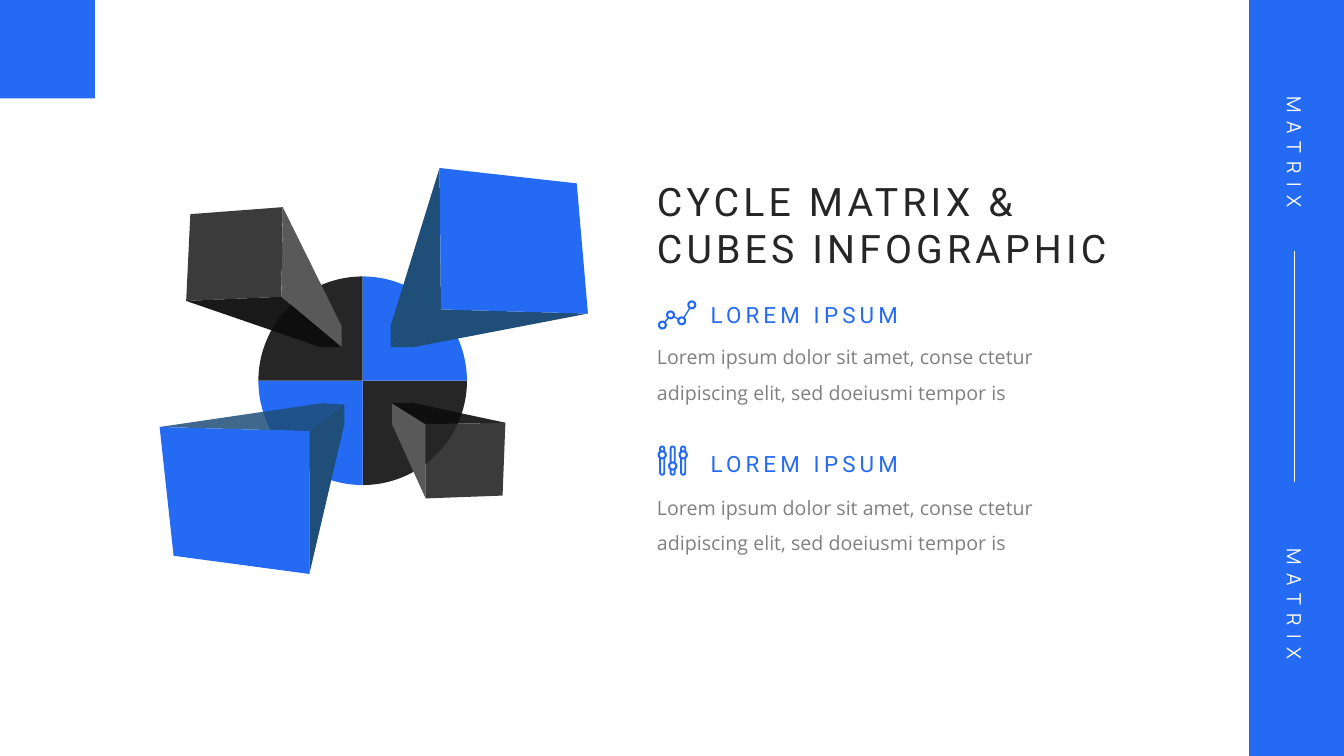
from lxml import etree
from pptx import Presentation
from pptx import util as u
from pptx.dml.color import RGBColor
from pptx.enum import shapes, text
from pptx.oxml.ns import qn

COLORS = {
    "blue": "256AF3", "navy": "1F4E79", "dark": "262626", "black": "0D0D0D",
    "gray": "595959", "body": "808080", "white": "FFFFFF",
}
BODY_TEXT = "Lorem ipsum dolor sit amet, conse ctetur adipiscing elit, sed doeiusmi tempor is"


class SlideBuilder:
    def __init__(self, slide):
        self.shapes = slide.shapes

    def color(self, name):
        return RGBColor.from_string(COLORS[name])

    def paint(self, shape, fill, opacity=1, line=None, line_width=1):
        shape.shadow.inherit = False
        shape.fill.solid()
        shape.fill.fore_color.rgb = self.color(fill)
        if opacity < 1:
            color_element = shape.fill._xPr.find(qn("a:solidFill"))[0]
            alpha = etree.SubElement(color_element, qn("a:alpha"))
            alpha.set("val", str(round(opacity * 100000)))
        if line:
            shape.line.color.rgb = self.color(line)
            shape.line.width = u.Pt(line_width)
        else:
            shape.line.fill.background()
        return shape

    def preset(self, kind, left, top, width, height, fill, **style):
        box = [u.Pt(length) for length in (left, top, width, height)]
        return self.paint(self.shapes.add_shape(kind, *box), fill, **style)

    def polygon(self, points, fill, opacity=1):
        builder = self.shapes.build_freeform(*points[0], scale=u.Pt(1))
        builder.add_line_segments(points[1:], close=True)
        return self.paint(builder.convert_to_shape(), fill, opacity)

    def line(self, start, end, color, width):
        points = [u.Pt(value) for value in (*start, *end)]
        connector = self.shapes.add_connector(shapes.MSO_CONNECTOR.STRAIGHT, *points)
        connector.line.color.rgb = self.color(color)
        connector.line.width = u.Pt(width)
        etree.SubElement(connector._element.spPr, qn("a:effectLst"))

    def text(self, words, left, top, width, height, font, size, color, tracking=0,
             align=text.PP_ALIGN.LEFT, wrap=True, line_spacing=None, rotation=0):
        box = self.shapes.add_textbox(*[u.Pt(length) for length in (left, top, width, height)])
        box.rotation = rotation
        frame = box.text_frame
        frame.text = words
        frame.word_wrap = wrap
        frame.auto_size = text.MSO_AUTO_SIZE.SHAPE_TO_FIT_TEXT
        paragraph = frame.paragraphs[0]
        paragraph.alignment = align
        if line_spacing:
            paragraph.line_spacing = line_spacing
        run = paragraph.runs[0]
        run.font.name = font
        run.font.size = u.Pt(size)
        run.font.color.rgb = self.color(color)
        if tracking:
            run._r.get_or_add_rPr().set("spc", str(tracking * 100))

    def quadrant(self, center, radius, start_angle, fill):
        """Quarter of the disc, clockwise from start_angle in degrees."""
        left, top = (value - radius for value in center)
        pie = self.preset(shapes.MSO_SHAPE.PIE, left, top, 2 * radius, 2 * radius, fill)
        for index, angle in enumerate((start_angle, (start_angle + 90) % 360)):
            pie.adjustments[index] = angle * 0.6  # 60000 units a degree, scaled by 100000

    def cube(self, front, back, side, floor, face):
        """Front: corner, side end, floor end, far corner. Back: side tip, corner, floor tip."""
        corner, side_end, floor_end, far = front
        side_tip, back_corner, floor_tip = back
        self.polygon([side_end, side_tip, back_corner, corner], *side)
        self.polygon([corner, back_corner, floor_tip, floor_end], *floor)
        self.polygon([side_end, corner, floor_end, far], *face)

    def ring(self, center, diameter):
        left, top = (value - diameter / 2 for value in center)
        self.preset(shapes.MSO_SHAPE.OVAL, left, top, diameter, diameter, "white",
                    line="blue", line_width=1.5)

    def trend_icon(self, nodes):
        for start, end in zip(nodes, nodes[1:]):
            self.line(start, end, "blue", 1)
        for node in nodes:
            self.ring(node, 5)

    def slider_icon(self, left, top, knob_heights):
        for index, knob_height in enumerate(knob_heights):
            center = left + index * 7.5
            track = self.preset(shapes.MSO_SHAPE.ROUNDED_RECTANGLE, center - 1.5, top, 3, 20.2,
                                "white", line="blue", line_width=1.4)
            track.adjustments[0] = 0.5
            self.ring((center, top + knob_height), 5.2)


CUBES = [
    ([(314.6, 221), (313.9, 119.5), (420.5, 223.9), (411.8, 131)],
     [(279.4, 233.3), (279.4, 248.4), (295.2, 248.4)],
     ("navy",), ("navy",), ("blue",)),
    ([(200.9, 212.4), (201.6, 148.3), (133.2, 214.6), (136.1, 152.6)],
     [(244.1, 233.3), (244.1, 247.7), (229, 247.7)],
     ("gray",), ("black", 0.95), ("dark", 0.9)),
    ([(221, 308.2), (221, 409.7), (114.5, 305.3), (123.8, 397.4)],
     [(245.5, 303.1), (245.5, 288.7), (229.7, 288)],
     ("navy",), ("navy", 0.85), ("blue",)),
    ([(303.8, 303.1), (303.8, 356.4), (360.7, 302.4), (358.6, 353.5)],
     [(280.1, 303.1), (280.1, 288), (295.9, 288)],
     ("gray",), ("black", 0.9), ("dark", 0.9)),
]


def main():
    presentation = Presentation()
    presentation.slide_width, presentation.slide_height = u.Pt(960), u.Pt(540)
    builder = SlideBuilder(presentation.slides.add_slide(presentation.slide_layouts[6]))

    builder.preset(shapes.MSO_SHAPE.RECTANGLE, 892.2, 0, 67.8, 540, "blue")
    for top in (96.5, 419):
        builder.text("MATRIX", 853.9, top, 141.1, 24.5, "Manrope", 14, "white", tracking=6,
                     align=text.PP_ALIGN.CENTER, rotation=90)
    builder.line((924.5, 179.3), (924.5, 344.2), "white", 0.5)
    builder.preset(shapes.MSO_SHAPE.RECTANGLE, 0, 0, 67.8, 70.2, "blue")

    builder.text("CYCLE MATRIX & CUBES INFOGRAPHIC", 462.2, 123.1, 355, 74.9,
                 "Roboto", 28, "dark", tracking=3)
    for heading_top, body_top in ((211.7, 234.7), (317.9, 342)):
        builder.text("LOREM IPSUM", 497.5, heading_top, 151.2, 26.6, "Roboto", 16, "blue",
                     tracking=3, align=text.PP_ALIGN.RIGHT, wrap=False)
        builder.text(BODY_TEXT, 462.2, body_top, 309.6, 55.4, "Open Sans", 14, "body",
                     line_spacing=1.5)
    builder.trend_icon([(473.2, 232.2), (479, 225), (487, 229.2), (494.2, 217.8)])
    builder.slider_icon(473, 318.9, (6, 14, 6))

    for quarter, fill in enumerate(("dark", "blue") * 2):
        builder.quadrant((259.1, 272), 74.5, quarter * 90, fill)
    for cube in CUBES:
        builder.cube(*cube)

    presentation.save("out.pptx")


if __name__ == "__main__":
    main()
